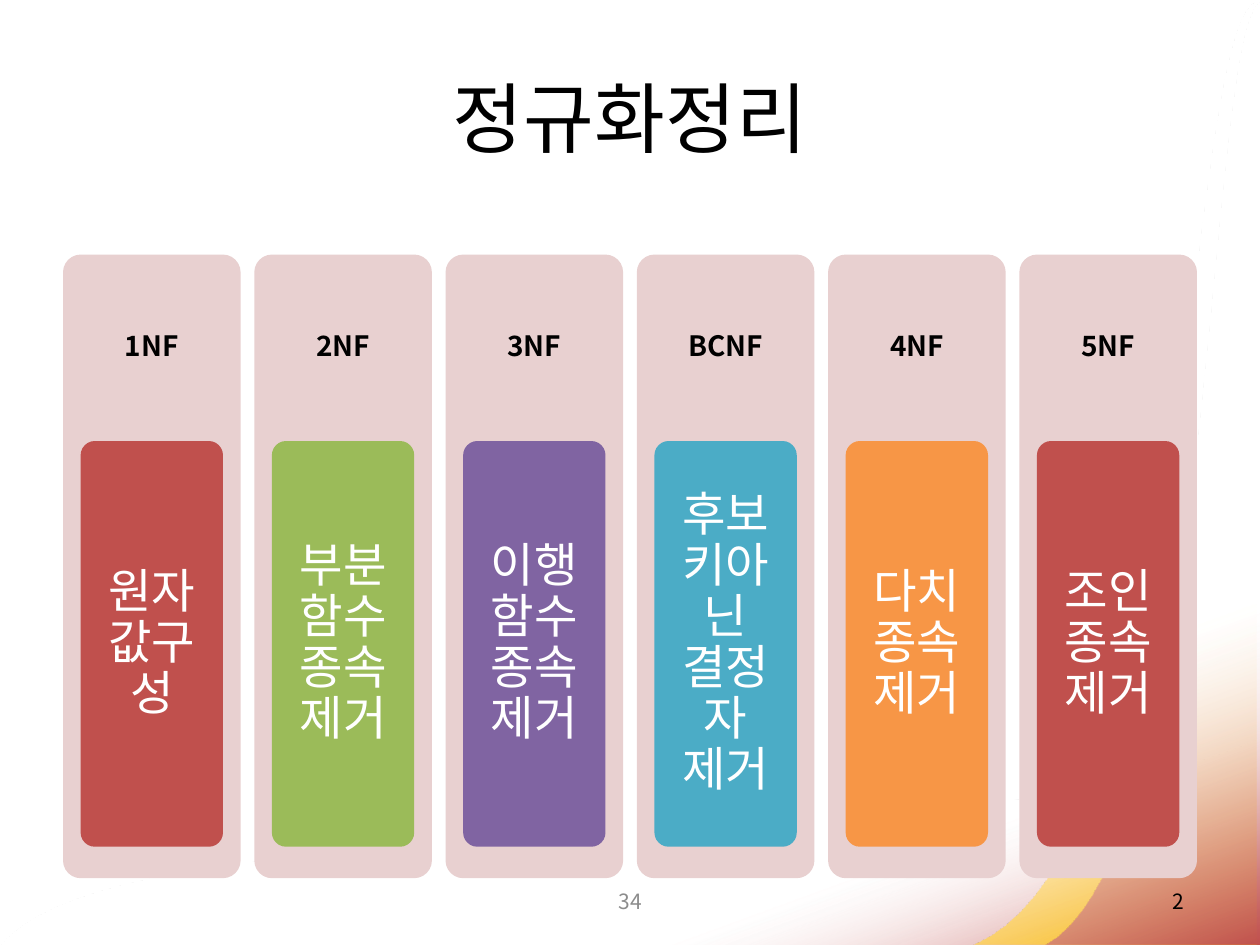
from lxml import etree
from pptx import Presentation
from pptx.dml.color import RGBColor
from pptx.enum import shapes, text
from pptx.oxml import ns
from pptx.util import Inches, Pt

FONT = "Noto Sans CJK KR"
BLACK = RGBColor(0, 0, 0)
WHITE = RGBColor(255, 255, 255)
GRAY = RGBColor(0x8C, 0x8C, 0x8C)
PINK = RGBColor(0xE8, 0xD0, 0xD0)
RED = RGBColor(0xC0, 0x50, 0x4D)
GREEN = RGBColor(0x9B, 0xBB, 0x59)
PURPLE = RGBColor(0x80, 0x64, 0xA2)
TEAL = RGBColor(0x4B, 0xAC, 0xC6)
ORANGE = RGBColor(0xF7, 0x96, 0x46)
GOLD = RGBColor(0xFF, 0xC0, 0)

TITLE = "정규화정리"
NORMAL_FORMS = [
    ("1NF", "원자값구성", RED),
    ("2NF", "부분함수종속제거", GREEN),
    ("3NF", "이행함수종속제거", PURPLE),
    ("BCNF", "후보키아닌 결정자 제거", TEAL),
    ("4NF", "다치종속제거", ORANGE),
    ("5NF", "조인종속제거", RED),
]
FOOTERS = [
    ("34", (3.42, 6.95, 3.17, 0.4), GRAY, text.PP_ALIGN.CENTER),
    ("2", (7.17, 6.95, 2.33, 0.4), BLACK, text.PP_ALIGN.RIGHT),
]
SWOOSHES = [
    ([(0, 7.51), (0.97, 6.28), (7.46, 6.98), (10, 5.86)], (10, 7.51), RED),
    ([(7.73, 7.5), (9.52, 6.75), (9.39, 0.22), (9.97, 0.01)], (9.97, 7.5), GOLD),
    ([(8.3, 7.5), (9.66, 6.75), (9.56, 0.22), (10, 0.01)], (10, 7.5), RED),
]
LEFT, TOP, SPAN = 0.5, 2.02, 9
PANEL_W, PANEL_H, HEAD_H = 1.41, 4.95, 1.48
CARD_W, CARD_H = 1.13, 3.22
INSET = 0.035
STEPS = 40


def box(left, top, width, height):
    return [Inches(v) for v in (left, top, width, height)]


def write(frame, words, size=12, color=BLACK, bold=False,
          align=text.PP_ALIGN.CENTER, spacing=None, margins=(0.1, 0.05)):
    frame.word_wrap = True
    frame.auto_size = text.MSO_AUTO_SIZE.NONE
    frame.vertical_anchor = text.MSO_ANCHOR.MIDDLE
    frame.margin_left = frame.margin_right = Inches(margins[0])
    frame.margin_top = frame.margin_bottom = Inches(margins[1])
    line = frame.paragraphs[0]
    line.alignment = align
    line.line_spacing = spacing
    run = line.add_run()
    run.text = words
    run.font.size, run.font.bold, run.font.name = Pt(size), bold, FONT
    run.font.color.rgb = color
    east_asian = etree.SubElement(run.font._element, ns.qn("a:ea"))
    east_asian.set("typeface", FONT)


def rounded(left, top, width, height, color):
    panel = slide.shapes.add_shape(
        shapes.MSO_SHAPE.ROUNDED_RECTANGLE, *box(left, top, width, height))
    panel.adjustments[0] = 0.1
    panel.fill.solid()
    panel.fill.fore_color.rgb = color
    panel.line.fill.background()
    panel.shadow.inherit = False


def curve_point(controls, t):
    weights = ((1 - t) ** 3, 3 * t * (1 - t) ** 2, 3 * t ** 2 * (1 - t), t ** 3)
    return tuple(Inches(sum(w * p[axis] for w, p in zip(weights, controls)))
                 for axis in (0, 1))


def swoosh(controls, corner, color):
    points = [curve_point(controls, i / STEPS) for i in range(STEPS + 1)]
    points.append(tuple(Inches(v) for v in corner))
    builder = slide.shapes.build_freeform(*points[0])
    builder.add_line_segments(points[1:], close=True)
    band = builder.convert_to_shape()
    band.line.fill.background()
    band.shadow.inherit = False
    band.fill.gradient()
    band.fill.gradient_angle = 290
    stops = band.fill.gradient_stops
    stops[0].position, stops[0].color.rgb = 0.67, WHITE
    stops[1].position, stops[1].color.rgb = 1, color
    white = band._element.spPr.find(".//" + ns.qn("a:srgbClr"))
    etree.SubElement(white, ns.qn("a:alpha")).set("val", "16000")


deck = Presentation()
deck.slide_width, deck.slide_height = Inches(10), Inches(7.5)
slide = deck.slides.add_slide(deck.slide_layouts[5])

for controls, corner, color in SWOOSHES:
    swoosh(controls, corner, color)

title = slide.shapes.title
title.left, title.top, title.width, title.height = box(0.5, 0.3, 9, 1.25)
write(title.text_frame, TITLE, size=44)

for words, place, color, align in FOOTERS:
    footer = slide.shapes.add_textbox(*box(*place))
    write(footer.text_frame, words, color=color, align=align)

pitch = (SPAN - PANEL_W) / (len(NORMAL_FORMS) - 1)
for i, (form, rule, color) in enumerate(NORMAL_FORMS):
    left = LEFT + i * pitch
    card_left, card_top = left + (PANEL_W - CARD_W) / 2, TOP + HEAD_H
    rounded(left, TOP, PANEL_W, PANEL_H, PINK)
    heading = slide.shapes.add_textbox(*box(left, TOP, PANEL_W, HEAD_H))
    write(heading.text_frame, form, size=16, bold=True, spacing=0.9,
          margins=(0.07, 0.07))
    rounded(card_left, card_top, CARD_W, CARD_H, color)
    body = slide.shapes.add_textbox(*box(
        card_left + INSET, card_top + INSET,
        CARD_W - 2 * INSET, CARD_H - 2 * INSET))
    write(body.text_frame, rule, size=27, color=WHITE, spacing=0.9,
          margins=(0.07, 0.06))

deck.save("out.pptx")
